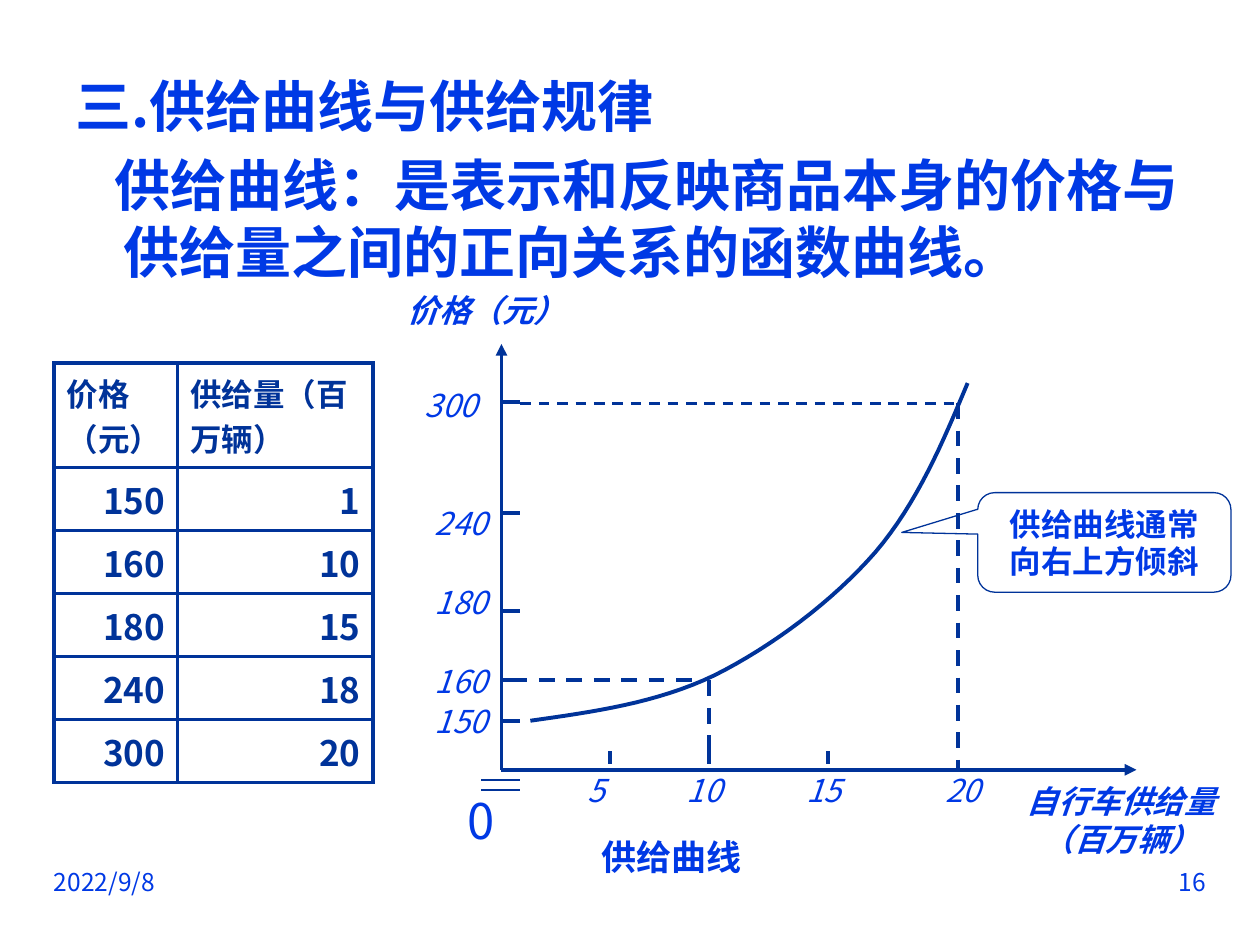
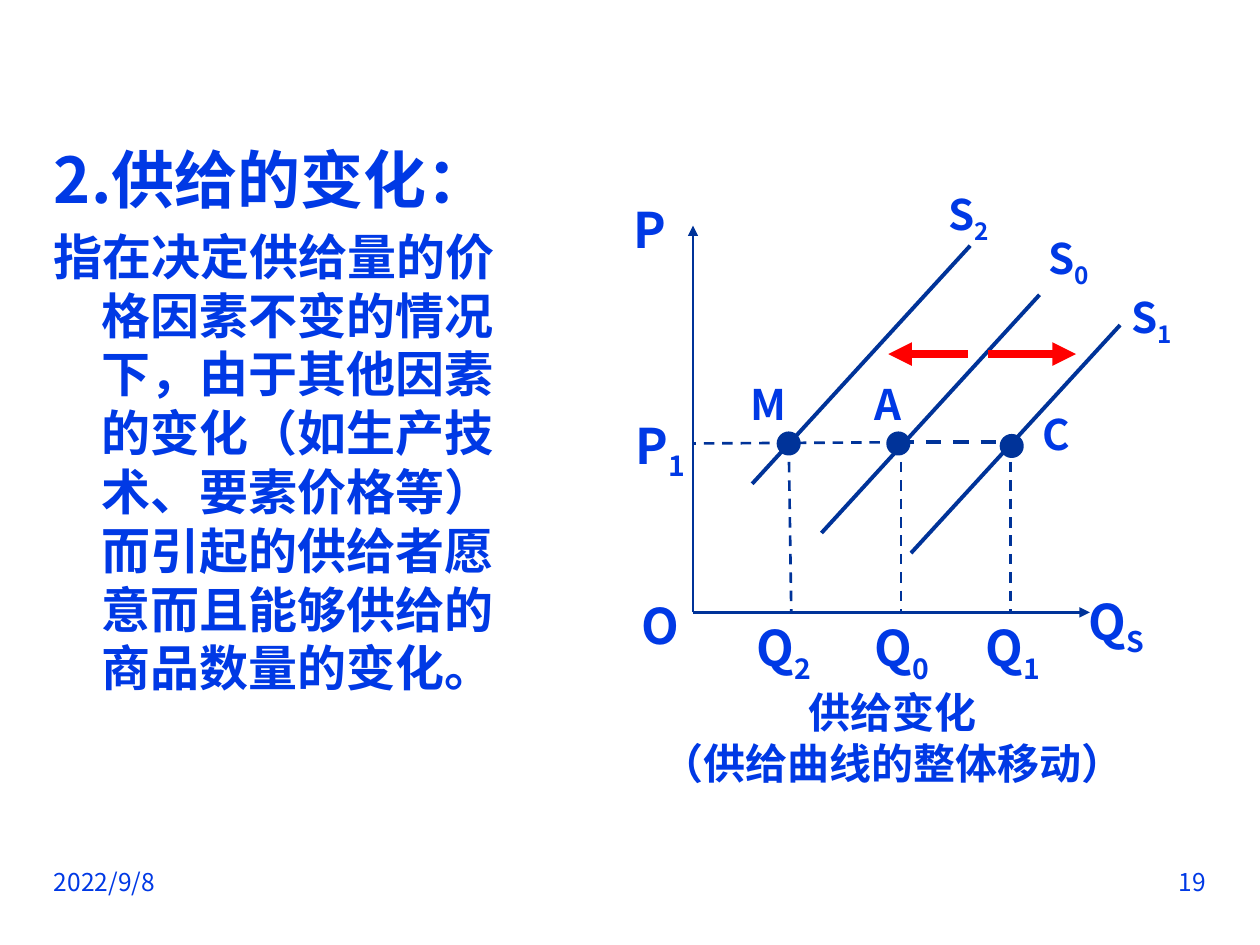
from lxml.etree import SubElement
from pptx import Presentation
from pptx.dml.color import RGBColor
from pptx.enum.dml import MSO_LINE
from pptx.enum.shapes import MSO_CONNECTOR, MSO_SHAPE
from pptx.enum.text import MSO_ANCHOR as ANCHOR, PP_ALIGN as ALIGN
from pptx.oxml import parse_xml
from pptx.oxml.ns import nsdecls, qn
from pptx.util import Inches, Pt

FONT = "Noto Sans CJK SC"
BLUE = RGBColor(0x00, 0x39, 0xE5)
NAVY = RGBColor(0x00, 0x33, 0x99)
RED = RGBColor(0xFF, 0x00, 0x00)
LINE_HEIGHT = 1.2


# Text
def add_run(paragraph, text, size, color=BLUE, bold=False, italic=False, subscript=False):
    run = paragraph.add_run()
    run.text = text
    font = run.font
    font.name, font.size, font.bold, font.italic = FONT, Pt(size), bold, italic
    font.color.rgb = color
    properties = run._r.get_or_add_rPr()
    SubElement(properties, qn("a:ea")).set("typeface", FONT)
    if subscript:
        properties.set("baseline", "-25000")


def add_text_box(slide, left, top, width, height):
    box = slide.shapes.add_textbox(*map(Inches, (left, top, width, height)))
    frame = box.text_frame
    frame.word_wrap = True
    return frame


def add_label(slide, center, text, size, bold=False, italic=False, width=0.7, height=0.31):
    """Centre text on a point; an underscore starts a subscript."""
    x, y = center
    frame = add_text_box(slide, x - width / 2, y - height / 2, width, height)
    frame.word_wrap = False
    frame.vertical_anchor = ANCHOR.MIDDLE
    frame.margin_left = frame.margin_right = frame.margin_top = frame.margin_bottom = 0
    lines = text.split("\n")
    for index, line in enumerate(lines):
        paragraph = frame.add_paragraph() if index else frame.paragraphs[0]
        paragraph.alignment = ALIGN.CENTER
        if len(lines) > 1:
            paragraph.line_spacing = Pt(size * LINE_HEIGHT)
        base, _, subscript = line.partition("_")
        add_run(paragraph, base, size, bold=bold, italic=italic)
        if subscript:
            add_run(paragraph, subscript, size, bold=bold, italic=italic, subscript=True)


def add_body(slide, box, paragraphs):
    """Each paragraph is (text, size, first-line indent)."""
    frame = add_text_box(slide, *box)
    for index, (text, size, indent) in enumerate(paragraphs):
        paragraph = frame.add_paragraph() if index else frame.paragraphs[0]
        properties = paragraph._p.get_or_add_pPr()
        properties.set("marL", str(Inches(0.38)))
        properties.set("indent", str(Inches(indent)))
        paragraph.line_spacing = Pt(size * LINE_HEIGHT)
        if index:
            paragraph.space_before = Pt(size * 0.2)
        add_run(paragraph, text, size, bold=True)


def add_footer(slide, number):
    for left, text, alignment in ((0.33, "2022/9/8", ALIGN.LEFT), (7.17, number, ALIGN.RIGHT)):
        paragraph = add_text_box(slide, left, 6.83, 2.5, 0.52).paragraphs[0]
        paragraph.alignment = alignment
        add_run(paragraph, text, 14)


# Lines and dots
def add_line(slide, start, end, width=2.25, color=NAVY, dashed=False, arrow=False):
    connector = slide.shapes.add_connector(
        MSO_CONNECTOR.STRAIGHT, *map(Inches, (*start, *end)))
    line = connector.line
    line.color.rgb = color
    line.width = Pt(width)
    if dashed:
        line.dash_style = MSO_LINE.DASH
    if arrow:
        SubElement(line._get_or_add_ln(), qn("a:tailEnd")).set("type", "triangle")
    SubElement(connector._element.spPr, qn("a:effectLst"))


def add_dot(slide, center, size=0.16):
    x, y = center
    dot = slide.shapes.add_shape(
        MSO_SHAPE.OVAL, *map(Inches, (x - size / 2, y - size / 2, size, size)))
    dot.shadow.inherit = False
    dot.fill.solid()
    dot.fill.fore_color.rgb = NAVY
    dot.line.color.rgb = NAVY
    dot.line.width = Pt(2.25)


def plot_from(origin):
    """Return a function that turns (right, up) from the origin into slide inches."""
    return lambda right, up: (origin[0] + right, origin[1] - up)


def add_axes(slide, at, right, up, width):
    for end in (at(right, 0), at(0, up)):
        add_line(slide, at(0, 0), end, width, arrow=True)


# Supply table
def add_cell_borders(cell):
    properties = cell._tc.get_or_add_tcPr()
    for index, side in enumerate(("lnL", "lnR", "lnT", "lnB")):
        properties.insert(index, parse_xml(
            f'<a:{side} {nsdecls("a")} w="{Pt(2.25)}"><a:solidFill>'
            f'<a:srgbClr val="{NAVY}"/></a:solidFill></a:{side}>'))


def add_supply_table(slide, left, top):
    rows = [("价格（元）", "供给量（百万辆）"), ("150", "1"), ("160", "10"),
            ("180", "15"), ("240", "18"), ("300", "20")]
    table = slide.shapes.add_table(
        len(rows), 2, *map(Inches, (left, top, 2.53, 3.33))).table
    for column, width in zip(table.columns, (0.98, 1.55)):
        column.width = Inches(width)
    for row_index, values in enumerate(rows):
        table.rows[row_index].height = Inches(0.5 if row_index else 0.83)
        for column_index, value in enumerate(values):
            cell = table.cell(row_index, column_index)
            cell.vertical_anchor = ANCHOR.MIDDLE
            cell.fill.background()
            add_cell_borders(cell)
            paragraph = cell.text_frame.paragraphs[0]
            paragraph.alignment = ALIGN.RIGHT if row_index else ALIGN.LEFT
            add_run(paragraph, value, 20 if row_index else 18, NAVY, bold=True)


# Supply curve
def bezier_points(points, steps=16):
    """Sample joined cubic curves given as start, control, control, end, ..."""
    result = [points[0]]
    for first in range(0, len(points) - 1, 3):
        controls = points[first:first + 4]
        for step in range(1, steps + 1):
            t = step / steps
            weights = ((1 - t) ** 3, 3 * t * (1 - t) ** 2, 3 * t * t * (1 - t), t ** 3)
            result.append(tuple(sum(w * p[axis] for w, p in zip(weights, controls))
                                for axis in (0, 1)))
    return result


def add_curve(slide, at):
    controls = [(0.23, 0.39), (0.73, 0.46), (1.23, 0.53), (1.69, 0.75), (2.15, 0.98),
                (2.63, 1.34), (2.97, 1.73), (3.3, 2.12), (3.5, 2.59), (3.7, 3.07)]
    points = [tuple(map(Inches, at(*point))) for point in bezier_points(controls)]
    builder = slide.shapes.build_freeform(*points[0])
    builder.add_line_segments(points[1:], close=False)
    curve = builder.convert_to_shape()
    curve.shadow.inherit = False
    curve.fill.background()
    curve.line.color.rgb = NAVY
    curve.line.width = Pt(2.25)


def add_callout(slide, left, top):
    callout = slide.shapes.add_shape(
        MSO_SHAPE.ROUNDED_RECTANGULAR_CALLOUT, *map(Inches, (left, top, 2.01, 0.79)))
    for index, value in enumerate((-0.8, -0.1, 0.17)):
        callout.adjustments[index] = value
    callout.shadow.inherit = False
    callout.fill.background()
    callout.line.color.rgb = NAVY
    callout.line.width = Pt(0.75)
    frame = callout.text_frame
    frame.word_wrap = True
    frame.vertical_anchor = ANCHOR.MIDDLE
    paragraph = frame.paragraphs[0]
    paragraph.alignment = ALIGN.CENTER
    paragraph.line_spacing = Pt(18 * LINE_HEIGHT)
    add_run(paragraph, "供给曲线通常向右上方倾斜", 18, bold=True)


def add_supply_curve_plot(slide, origin):
    at = plot_from(origin)
    add_axes(slide, at, 5.04, 3.38, 2.25)

    # Ticks: value, tick position, label position
    for price, tick, label_right, label_up in (
            ("150", 0.39, -0.32, 0.39), ("160", 0.71, -0.32, 0.71), ("180", 1.26, -0.32, 1.33),
            ("240", 2.04, -0.32, 1.96), ("300", 2.92, -0.4, 2.9)):
        add_line(slide, at(0, tick), at(0.15, tick))
        add_label(slide, at(label_right, label_up), price, 18, italic=True)
    for quantity, tick, label_right in (
            ("5", 0.86, 0.75), ("10", 1.65, 1.61), ("15", 2.59, 2.56), ("20", None, 3.66)):
        if tick:
            add_line(slide, at(tick, 0.05), at(tick, 0.15))
        add_label(slide, at(label_right, -0.16), quantity, 18, italic=True)

    # Axis names, zero and caption
    add_label(slide, at(4.92, -0.4), "自行车供给量\n（百万辆）", 18, True, True, width=1.8)
    add_label(slide, at(-0.12, 3.65), "价格（元）", 18, True, True, width=1.6)
    add_label(slide, at(-0.16, -0.4), "0", 28)
    add_label(slide, at(1.35, -0.69), "供给曲线", 20, True, width=1.6, height=0.41)
    for drop in (0.08, 0.16):
        add_line(slide, at(-0.16, -drop), at(0.15, -drop), 0.75)

    # Curve and its guide lines
    add_curve(slide, at)
    for start, end, width in (((0.08, 0.71), (1.57, 0.71), 2.25),
                              ((1.65, 0.71), (1.65, 0.08), 2.25),
                              ((0.15, 2.91), (3.62, 2.91), 1.5),
                              ((3.62, 2.91), (3.62, 0), 2.25)):
        add_line(slide, at(*start), at(*end), width, dashed=True)


# Shift of the whole supply curve
def add_supply_shift_plot(slide, origin):
    at = plot_from(origin)
    add_axes(slide, at, 3.15, 3.07, 1.5)

    # Supply lines
    for name, start, end, label in (
            ("S_2", (0.47, 1.02), (2.2, 2.91), (2.19, 3.14)),
            ("S_0", (1.02, 0.63), (2.75, 2.52), (2.98, 2.79)),
            ("S_1", (1.73, 0.47), (3.39, 2.28), (3.64, 2.32))):
        add_line(slide, at(*start), at(*end))
        add_label(slide, at(*label), name, 24, True)

    # Guide lines, points and quantities
    add_line(slide, at(1.63, 1.35), at(0, 1.34), 1.5, dashed=True)
    add_line(slide, at(1.63, 1.35), at(2.49, 1.35), dashed=True)
    for name, dot, label, foot, quantity, quantity_right in (
            ("M", (0.76, 1.34), (0.6, 1.66), 0.78, "Q_2", 0.72),
            ("A", (1.63, 1.34), (1.55, 1.66), 1.65, "Q_0", 1.66),
            ("C", (2.53, 1.32), (2.88, 1.42), 2.52, "Q_1", 2.54)):
        top = 0.76 if name == "M" else foot
        add_line(slide, at(top, 1.34), at(foot, 0), 1.5, dashed=True)
        add_dot(slide, at(*dot))
        add_label(slide, at(*label), name, 24, True)
        add_label(slide, at(quantity_right, -0.31), quantity, 28, True)

    # Shift arrows
    for start, end in ((2.18, 1.55), (2.34, 3.04)):
        add_line(slide, at(start, 2.05), at(end, 2.05), 4.5, RED, arrow=True)

    # Axis names and caption
    for name, right, up in (("P", -0.34, 3.04), ("P_1", -0.26, 1.3),
                            ("O", -0.26, -0.1), ("Q_S", 3.36, -0.1)):
        add_label(slide, at(right, up), name, 28, True)
    add_label(slide, at(1.58, -0.99), "供给变化\n（供给曲线的整体移动）", 24, True,
              width=4, height=0.58)


# Slides
def build_supply_curve_slide(slide):
    add_footer(slide, "16")
    add_body(slide, (0.5, 0.52, 9, 1.89), [
        ("三.供给曲线与供给规律", 32, -0.38),
        ("供给曲线：是表示和反映商品本身的价格与供给量之间的正向关系的函数曲线。", 32, -0.07)])
    add_supply_table(slide, 0.43, 2.88)
    add_callout(slide, 7.76, 3.91)
    add_supply_curve_plot(slide, (3.98, 6.11))


def build_supply_shift_slide(slide):
    add_footer(slide, "19")
    add_body(slide, (0.33, 1.07, 3.96, 5.6), [
        ("2.供给的变化：", 36, -0.38),
        ("指在决定供给量的价格因素不变的情况下，由于其他因素的变化（如生产技术、要素价格等）"
         "而引起的供给者愿意而且能够供给的商品数量的变化。", 28, -0.38)])
    add_supply_shift_plot(slide, (5.5, 4.86))


def main():
    presentation = Presentation()
    presentation.slide_width, presentation.slide_height = Inches(10), Inches(7.5)
    blank = presentation.slide_layouts[6]
    for build in (build_supply_curve_slide, build_supply_shift_slide):
        build(presentation.slides.add_slide(blank))
    presentation.save("out.pptx")


if __name__ == "__main__":
    main()
